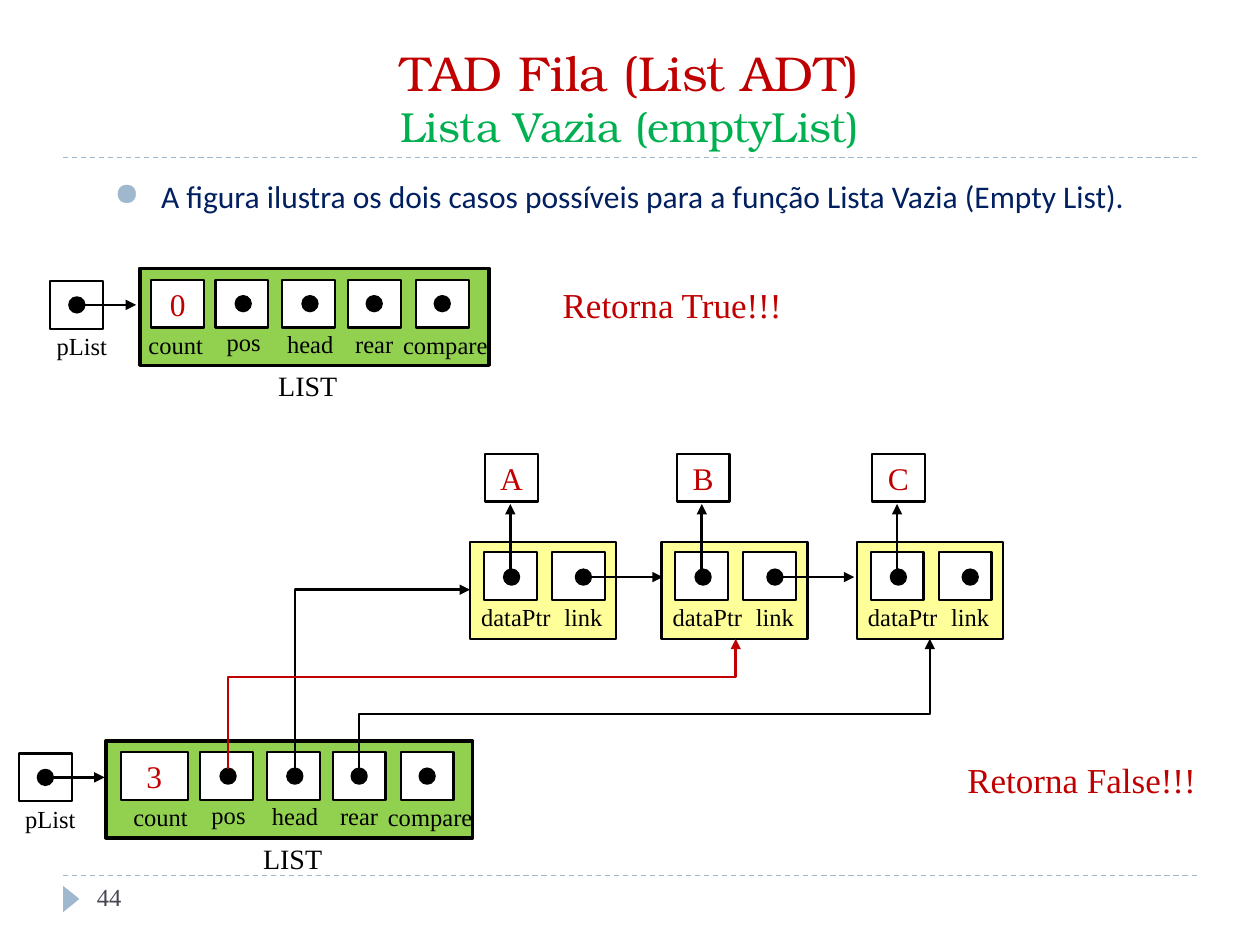
from lxml.etree import SubElement
from pptx import Presentation
from pptx.dml.color import RGBColor
from pptx.enum.dml import MSO_LINE
from pptx.enum.shapes import MSO_CONNECTOR as LINK, MSO_SHAPE as SHAPE
from pptx.enum.text import MSO_ANCHOR as ANCHOR, PP_ALIGN as ALIGN
from pptx.oxml.ns import qn
from pptx.util import Pt

PX = 9144
SERIF = "Times New Roman"
BLACK, WHITE, RED, GREEN, YELLOW, BLUE = "000000", "FFFFFF", "C00000", "92D050", "FFFF99", "9FB8CD"
color = RGBColor.from_string

presentation = Presentation()
presentation.slide_width, presentation.slide_height = 1000 * PX, 750 * PX
slide = presentation.slides.add_slide(presentation.slide_layouts[6])


def write(text, left, top, width, height, kind=None, fill=WHITE, border=1.25, size=14, ink=BLACK,
          font=SERIF, align=ALIGN.LEFT, anchor=ANCHOR.TOP, wrap=False, bullet=None):
    box = [length * PX for length in (left, top, width, height)]
    if kind is None:
        shape = slide.shapes.add_textbox(*box)
    else:
        shape = slide.shapes.add_shape(kind, *box)
        shape.shadow.inherit = False
        shape.fill.solid()
        shape.fill.fore_color.rgb = color(fill)
        if border:
            shape.line.color.rgb = color(BLACK)
            shape.line.width = Pt(border)
        else:
            shape.line.fill.background()
    if text:
        frame = shape.text_frame
        frame.word_wrap = wrap
        frame.vertical_anchor = anchor
        paragraph = frame.paragraphs[0]
        paragraph.alignment = align
        if bullet:
            properties = paragraph._p.get_or_add_pPr()
            properties.set("marL", str(37 * PX))
            properties.set("indent", str(-37 * PX))
            SubElement(SubElement(properties, qn("a:buClr")), qn("a:srgbClr"), val=BLUE)
            SubElement(properties, qn("a:buChar"), char=bullet)
        run = paragraph.add_run()
        run.text = text
        run.font.size, run.font.name = Pt(size), font
        run.font.color.rgb = color(ink)
    return shape


def connect(x1, y1, x2, y2, ink=BLACK, width=1.5, arrow=True, bend=None, corner=False):
    kind, begin, end = LINK.STRAIGHT, (x1, y1), (x2, y2)
    if bend or corner:
        kind = LINK.ELBOW
        half_rise, half_run = (y1 - y2) / 2, (x2 - x1) / 2
        middle_x, middle_y = (x1 + x2) / 2, (y1 + y2) / 2
        begin = middle_x - half_rise, middle_y - half_run
        end = middle_x + half_rise, middle_y + half_run
    connector = slide.shapes.add_connector(kind, *[int(value * PX) for value in begin + end])
    connector.line.color.rgb = color(ink)
    connector.line.width = Pt(width)
    properties = connector._element.spPr
    if kind == LINK.ELBOW:
        properties.find(qn("a:xfrm")).set("rot", "16200000")
        geometry = properties.find(qn("a:prstGeom"))
        if corner:
            geometry.set("prst", "bentConnector2")
        else:
            SubElement(geometry.find(qn("a:avLst")), qn("a:gd"), name="adj1", fmla=f"val {bend}")
    if arrow:
        SubElement(properties.find(qn("a:ln")), qn("a:tailEnd"), type="triangle")
    else:
        connector.line.dash_style = MSO_LINE.DASH
    SubElement(properties, qn("a:effectLst"))


for y in (695, 125):
    connect(50, y, 950, y, ink=BLUE, width=0.75, arrow=False)
write("", 46, 707, 21, 13, kind=SHAPE.ISOSCELES_TRIANGLE, fill=BLUE, border=0).rotation = 90

title = write("TAD Fila (List ADT)", 50, 25, 900, 100, size=28, ink=RED, font="TeX Gyre Bonum",
              align=ALIGN.CENTER, anchor=ANCHOR.BOTTOM, wrap=True)
title_paragraph = title.text_frame.paragraphs[0]
title_paragraph.add_line_break()
subtitle = title_paragraph.add_run()
subtitle.text = "Lista Vazia (emptyList)"
subtitle.font.size, subtitle.font.name = Pt(24), "TeX Gyre Bonum"
subtitle.font.color.rgb = color("00B050")

write("44", 67, 695, 217, 40, ink="464653", wrap=True)
write("A figura ilustra os dois casos possíveis para a função Lista Vazia (Empty List).",
      81, 136, 850, 46, size=18, ink="002060", font="Calibri", align=ALIGN.JUSTIFY, wrap=True, bullet="●")
write("Retorna True!!!", 436, 220, 195, 44, size=20, ink=RED, align=ALIGN.CENTER)
write("Retorna False!!!", 757, 597, 203, 44, size=20, ink=RED, align=ALIGN.CENTER)

value_format = {"kind": SHAPE.RECTANGLE, "size": 18, "ink": RED, "align": ALIGN.CENTER, "anchor": ANCHOR.MIDDLE}
fields = [("pos", 171, 170, 48, 187, 33), ("head", 224, 218, 57, 240, 34),
          ("rear", 276, 272, 51, 291, 34), ("compare", 330, 310, 88, 345, 35)]
lists = [("0", 222, 0, 40, 111, 277, 120, 42, 108),
         ("3", 597, -12, 15, 84, 291, 96, 53, 96)]
for count, top, shift, pointer, frame_left, frame_width, count_left, count_width, label_left in lists:
    write("", pointer, top + 1, 42, 38, kind=SHAPE.RECTANGLE)
    write("pList", pointer - 5, top + 36, 61, 34)
    write("LIST", 211 + shift, top + 66, 68, 37, size=16)
    write("", frame_left, top - 9, frame_width, 77, kind=SHAPE.RECTANGLE, fill=GREEN, border=2)
    connect(pointer + 21, top + 20, pointer + 68, top + 20)
    write("", pointer + 15, top + 14, 12, 12, kind=SHAPE.OVAL, fill=BLACK)
    write(count, count_left, top, count_width, 38, **value_format)
    write("count", label_left, top + 35, 64, 34)
    for name, cell_left, name_left, name_width, dot_left, drop in fields:
        write("", cell_left + shift, top, 42, 38, kind=SHAPE.RECTANGLE)
        write("", dot_left + shift, top + 13, 12, 12, kind=SHAPE.OVAL, fill=BLACK)
        write(name, name_left + shift, top + drop, name_width, 34)

for letter, left in (("A", 373), ("B", 525), ("C", 680)):
    write("", left, 430, 116, 77, kind=SHAPE.RECTANGLE, fill=YELLOW)
    for name, cell, label, width in (("dataPtr", 11, -1, 76), ("link", 65, 65, 51)):
        write("", left + cell, 438, 42, 38, kind=SHAPE.RECTANGLE)
        write(name, left + label, 473, width, 34)
    write(letter, left + 12, 360, 42, 38, **value_format)
    connect(left + 32, 457, left + 32, 400)
    if letter != "C":
        connect(left + 90, 458, left + 153, 458)
    for dot in (27, 84):
        write("", left + dot, 452, 12, 12, kind=SHAPE.OVAL, fill=BLACK)

connect(234, 610, 373, 468, corner=True)
connect(285, 610, 738, 507, bend=42000)
connect(181, 610, 584, 507, ink=RED, bend=70700)

presentation.save("out.pptx")
